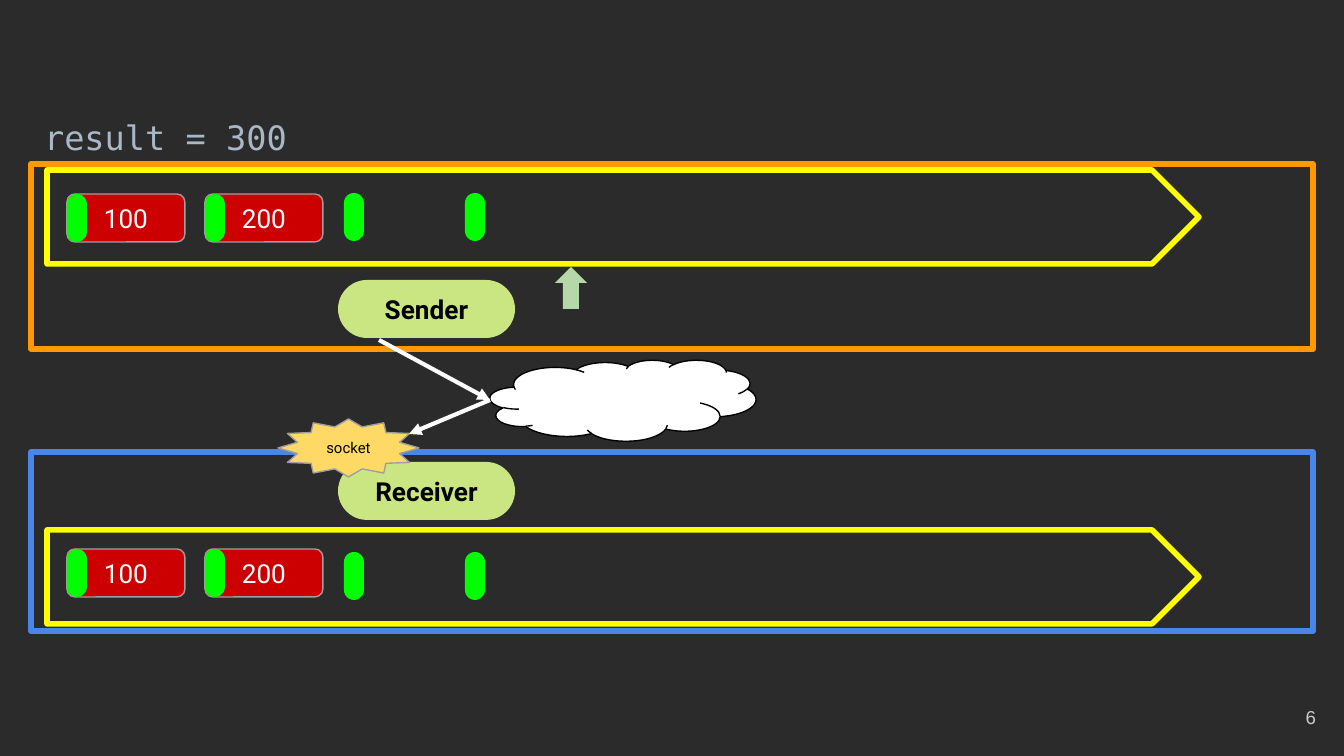
import pptx
import pptx.util
import pptx.dml.color
import pptx.enum.shapes
import pptx.enum.text
import pptx.oxml.ns
from lxml import etree

Pt = pptx.util.Pt
KIND = pptx.enum.shapes.MSO_SHAPE
ALIGN = pptx.enum.text.PP_ALIGN
ANCHOR = pptx.enum.text.MSO_ANCHOR
WIDE, HIGH = 1344, 756
SCALE = 9144000 / WIDE  # EMU in one px

HUES = {
    "back": "2B2B2B", "blue": "4A86E8", "orange": "FF9900", "yellow": "FFFF00",
    "white": "FFFFFF", "black": "000000", "lime": "CAE682", "gold": "FFD966",
    "gray": "9E9E9E", "sage": "B6D7A8", "red": "CC0000", "green": "00FF00",
    "code": "A9B7C6", "pale": "CACACA",
}

NAME = {"size": Pt(14), "name": "Roboto", "bold": True}
VALUE = {"size": Pt(14), "name": "Roboto"}
SMALL = {"size": Pt(8), "name": "Roboto"}
CODE = {"size": Pt(18), "name": "DejaVu Sans Mono"}
PAGE = {"size": Pt(10), "name": "Arial"}


def emu(*sizes):
    return [round(size * SCALE) for size in sizes]


def hue(key):
    return pptx.dml.color.RGBColor.from_string(HUES[key])


class Board:
    def __init__(self, deck):
        self.slide = deck.slides.add_slide(deck.slide_layouts[6])
        fill = self.slide.background.fill
        fill.solid()
        fill.fore_color.rgb = hue("back")

    def shape(self, kind, box, fill=None, line=None, width=0.75, adj=None):
        item = self.slide.shapes.add_shape(kind, *emu(*box))
        item.shadow.inherit = False
        if fill:
            item.fill.solid()
            item.fill.fore_color.rgb = hue(fill)
        else:
            item.fill.background()
        if line:
            item.line.color.rgb = hue(line)
            item.line.width = Pt(width)
        else:
            item.line.fill.background()
        if adj is not None:
            item.adjustments[0] = adj
        return item

    def letter(self, item, text, style, color, align=ALIGN.CENTER,
               anchor=ANCHOR.MIDDLE):
        frame = item.text_frame
        inset, = emu(13)
        form = {"word_wrap": True, "vertical_anchor": anchor,
                "margin_left": inset, "margin_right": inset,
                "margin_top": inset, "margin_bottom": inset}
        for key, value in form.items():
            setattr(frame, key, value)
        para = frame.paragraphs[0]
        para.text = text
        para.alignment = align
        for key, value in style.items():
            setattr(para.font, key, value)
        para.font.color.rgb = hue(color)
        return para

    def label(self, box, text, style, color, align, anchor):
        item = self.slide.shapes.add_textbox(*emu(*box))
        return self.letter(item, text, style, color, align, anchor)

    def arrow(self, start, end):
        kind = pptx.enum.shapes.MSO_CONNECTOR.STRAIGHT
        item = self.slide.shapes.add_connector(kind, *emu(*start, *end))
        item.line.color.rgb = hue("white")
        item.line.width = Pt(2.25)
        tag = pptx.oxml.ns.qn
        props = item.element.spPr
        etree.SubElement(props.find(tag("a:ln")), tag("a:tailEnd"),
                         type="triangle")
        etree.SubElement(props, tag("a:effectLst"))

    def actor(self, top, text):
        item = self.shape(KIND.ROUNDED_RECTANGLE, (338, top, 177, 58),
                          "lime", adj=0.5)
        self.letter(item, text, NAME, "black")

    def bar(self, left, top):
        self.shape(KIND.ROUNDED_RECTANGLE, (left, top, 20, 48), "green", adj=0.5)

    def chip(self, left, top, text):
        item = self.shape(KIND.ROUNDED_RECTANGLE, (left, top, 118, 48),
                          "red", "gray", adj=0.167)
        self.letter(item, text, VALUE, "white")
        self.bar(left, top)


def main():
    deck = pptx.Presentation()
    deck.slide_width, deck.slide_height = emu(WIDE, HIGH)
    board = Board(deck)

    # Frames, queues and the network between them
    board.shape(KIND.FLOWCHART_PROCESS, (31, 452, 1282, 179), None, "blue", 3)
    for top in (530, 170):
        board.shape(KIND.PENTAGON, (47, top, 1152, 94), None, "yellow", 3, 0.5)
    board.shape(KIND.CLOUD, (490, 360, 266, 81), "white", "black")
    board.shape(KIND.FLOWCHART_PROCESS, (31, 164, 1282, 185), None, "orange", 3)

    # Page number and code line
    board.label((1249, 688, 80, 58), "6", PAGE, "pale", ALIGN.RIGHT,
                ANCHOR.MIDDLE)
    line = board.label((31, 98, 831, 58), "result = 300", CODE, "code",
                       ALIGN.LEFT, ANCHOR.TOP)
    line.line_spacing = 1.15

    # Sender, receiver and socket
    board.actor(462, "Receiver")
    star = board.shape(KIND.STAR_12_POINT, (278, 419, 141, 58), "gold", "gray",
                       adj=0.375)
    board.letter(star, "socket", SMALL, "black")
    board.arrow((379, 340), (490, 400))
    board.shape(KIND.UP_ARROW, (555, 267, 32, 42), "sage")
    board.arrow((490, 400), (409, 434))
    board.actor(280, "Sender")

    # Queue contents: filled slots, then empty ones
    for full, bare in ((194, 193), (549, 552)):
        for left, text in ((67, "100"), (205, "200")):
            board.chip(left, full, text)
        for left in (344, 465):
            board.bar(left, bare)

    deck.save("out.pptx")


if __name__ == "__main__":
    main()
